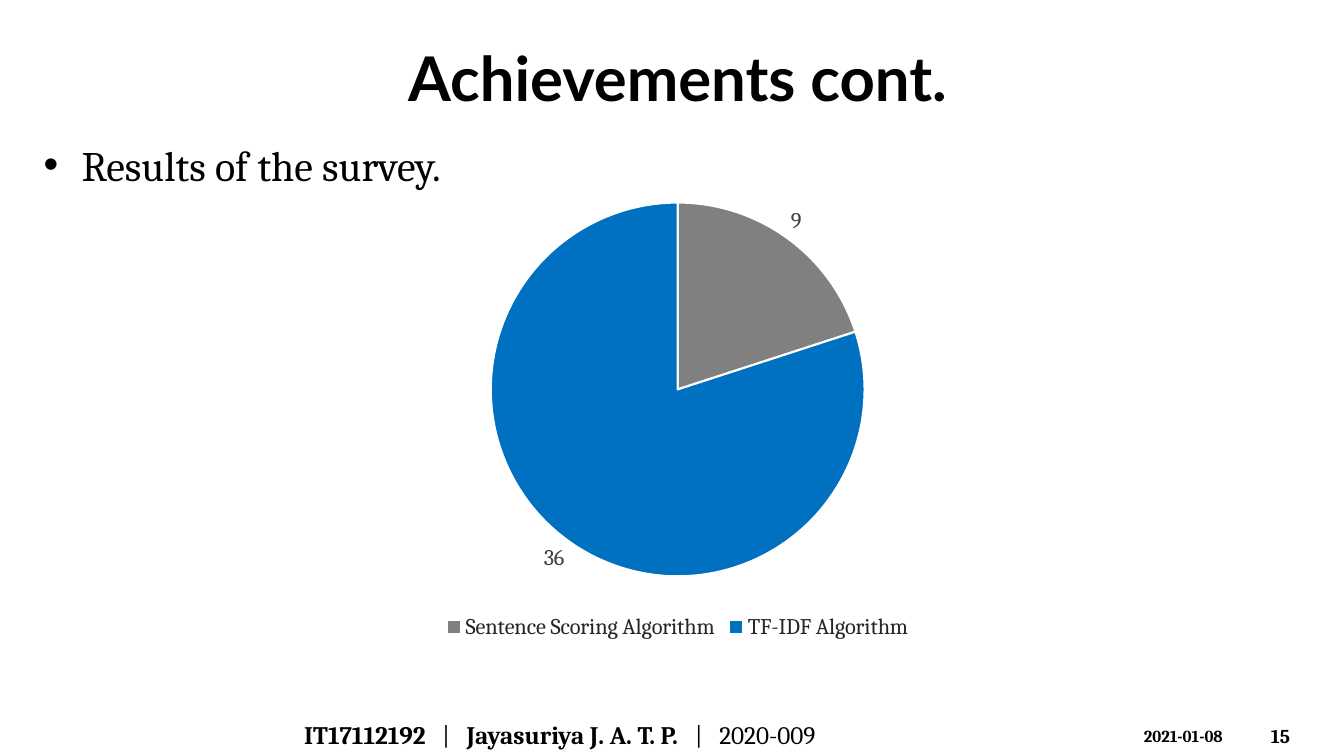
from lxml.etree import SubElement
from pptx import Presentation
from pptx.chart.data import CategoryChartData
from pptx.dml.color import RGBColor
from pptx.enum.chart import XL_CHART_TYPE, XL_LABEL_POSITION, XL_LEGEND_POSITION
from pptx.enum.shapes import MSO_SHAPE
from pptx.enum.text import MSO_ANCHOR, MSO_AUTO_SIZE, PP_ALIGN
from pptx.oxml.ns import qn
from pptx.util import Pt

COLORS = {"text": "000000", "legend": "262626", "label": "404040",
          "edge": "FFFFFF", "band": "FFFFFF"}
TITLE = "Achievements cont."
BULLET = "Results of the survey."
SURVEY = [("Sentence Scoring Algorithm", 9, "808080"), ("TF-IDF Algorithm", 36, "0070C0")]
# Each footer band: place (left, top, width, height), position of the peak
BANDS = [((0, 510.5, 960, 29.5), 0.63), ((0, 525.6, 960, 14.4), 0.39)]
BAND_OPACITY = 20
# Each text box: place (left, top, width, height), size, anchor, runs of (text, bold)
FOOTERS = [
    ((900.72, 511.2, 53.28, 28.8), 14, MSO_ANCHOR.MIDDLE, [("15", True)]),
    ((810, 514.8, 84.24, 21.6), 12, MSO_ANCHOR.TOP, [("2021-01-08", True)]),
    ((210.24, 510.4, 408.24, 51.12), 18, MSO_ANCHOR.TOP,
     [("IT17112192", True), ("\t|\t", False),
      ("Jayasuriya J. A. T. P.", True), ("\t|\t2020-009", False)]),
]
AUTHOR_TABS = [98.5, 116, 279, 296.5]
SERIF, SANS = "Cambria", "Lato"


def place(shape, left, top, width, height):
    shape.left, shape.top, shape.width, shape.height = map(Pt, (left, top, width, height))


def style(font, size, color="text", bold=False, name=SERIF):
    font.name, font.size, font.bold = name, Pt(size), bold
    font.color.rgb = RGBColor.from_string(COLORS[color])


def add_run(paragraph, text, size, **options):
    run = paragraph.add_run()
    run.text = text
    style(run.font, size, **options)


def set_tab_stops(paragraph, stops):
    tab_list = SubElement(paragraph._p.get_or_add_pPr(), qn("a:tabLst"))
    for stop in stops:
        SubElement(tab_list, qn("a:tab"), pos=str(Pt(stop)), algn="l")


def add_band(slide, box, peak):
    """Add a translucent triangle along the bottom edge."""
    band = slide.shapes.add_shape(MSO_SHAPE.ISOSCELES_TRIANGLE, *map(Pt, box))
    band.adjustments[0] = peak
    band.shadow.inherit = False
    band.line.fill.background()
    band.fill.solid()
    band.fill.fore_color.rgb = RGBColor.from_string(COLORS["band"])
    color = band.fill._xPr.find(f"{qn('a:solidFill')}/{qn('a:srgbClr')}")
    SubElement(color, qn("a:alpha"), val=str(BAND_OPACITY * 1000))


def add_footer(slide, box, size, anchor, runs):
    shape = slide.shapes.add_textbox(*map(Pt, box))
    frame = shape.text_frame
    frame.word_wrap = True
    frame.vertical_anchor = anchor
    paragraph = frame.paragraphs[0]
    if len(runs) > 1:
        set_tab_stops(paragraph, AUTHOR_TABS)
    for text, bold in runs:
        add_run(paragraph, text, size, bold=bold)


def add_survey_chart(slide):
    data = CategoryChartData()
    data.categories = [name for name, _, _ in SURVEY]
    data.add_series("Series 1", [votes for _, votes, _ in SURVEY])
    chart = slide.shapes.add_chart(
        XL_CHART_TYPE.PIE, Pt(260.9), Pt(125.7), Pt(446.4), Pt(334.6), data).chart
    style(chart.font, 10)
    chart.has_title = False
    chart.has_legend = True
    chart.legend.position = XL_LEGEND_POSITION.BOTTOM
    chart.legend.include_in_layout = False
    style(chart.legend.font, 16, "legend")

    plot = chart.plots[0]
    plot.vary_by_categories = True
    plot.has_data_labels = True
    labels = plot.data_labels
    labels.show_value = True
    labels.show_percentage = False
    labels.position = XL_LABEL_POSITION.OUTSIDE_END
    style(labels.font, 16, "label")
    for index, (_, _, color) in enumerate(SURVEY):
        slice_format = plot.series[0].points[index].format
        slice_format.fill.solid()
        slice_format.fill.fore_color.rgb = RGBColor.from_string(color)
        slice_format.line.color.rgb = RGBColor.from_string(COLORS["edge"])
        slice_format.line.width = Pt(1.5)


def main():
    presentation = Presentation()
    presentation.slide_width, presentation.slide_height = Pt(960), Pt(540)
    slide = presentation.slides.add_slide(presentation.slide_layouts[1])

    title, body = slide.shapes.title, slide.placeholders[1]
    place(title, 24, 23.76, 920.16, 62.64)
    place(body, 24, 95.76, 920.16, 408.24)
    for shape in (title, body):
        shape.text_frame.auto_size = MSO_AUTO_SIZE.NONE
    heading = title.text_frame.paragraphs[0]
    heading.alignment = PP_ALIGN.CENTER
    add_run(heading, TITLE, 44, bold=True, name=SANS)
    add_run(body.text_frame.paragraphs[0], BULLET, 30)

    for band in BANDS:
        add_band(slide, *band)
    add_survey_chart(slide)
    for footer in FOOTERS:
        add_footer(slide, *footer)
    presentation.save("out.pptx")


if __name__ == "__main__":
    main()
